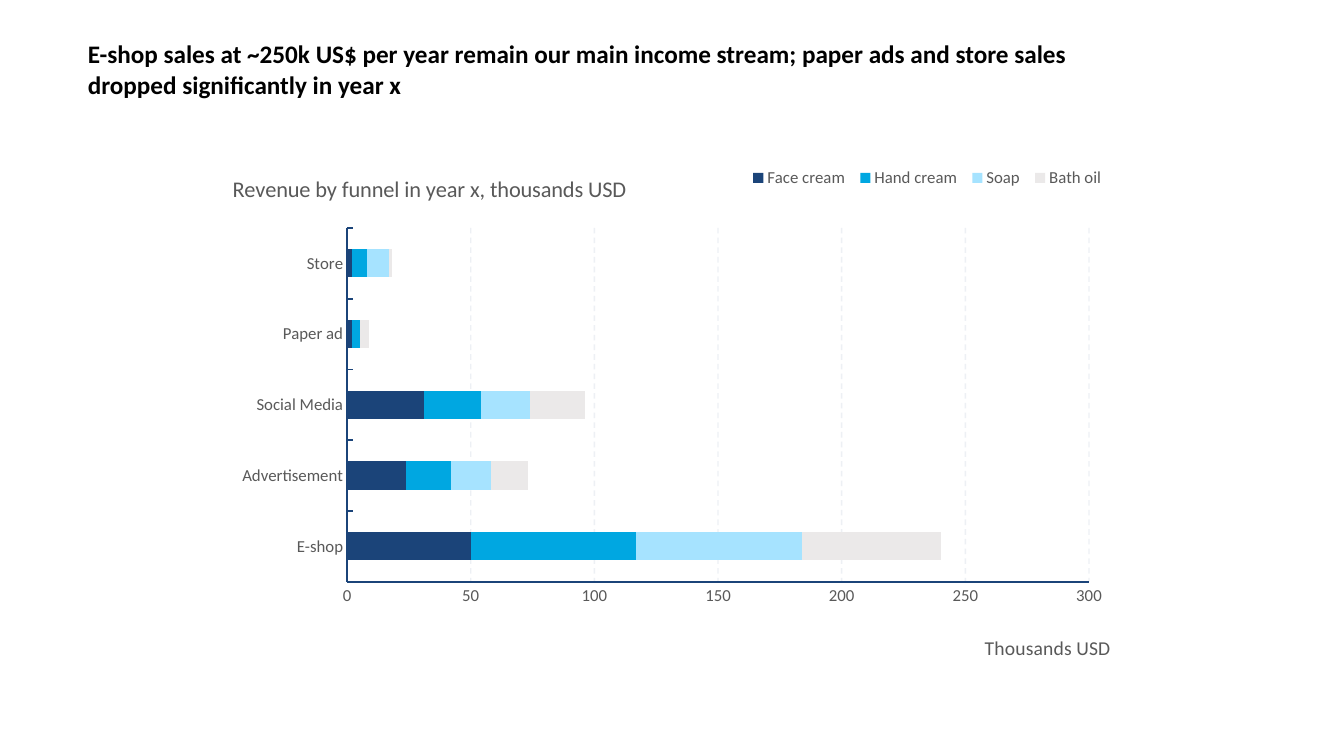
from dataclasses import dataclass

import lxml.etree
import pptx
import pptx.chart.data
import pptx.dml.color
import pptx.enum.chart
import pptx.enum.dml
import pptx.enum.text
import pptx.oxml.ns
import pptx.util

Pt = pptx.util.Pt
qn = pptx.oxml.ns.qn


@dataclass(frozen=True)
class Theme:
    """Colours and type sizes of the slide."""
    font: str = "Calibri"
    heading: str = "000000"
    label: str = "595959"
    axis: str = "1B4479"
    series: tuple = ("1B4479", "00A7E1", "A6E3FF", "EBE9E9")
    heading_size: int = 18
    chart_title_size: int = 16
    axis_title_size: int = 14
    label_size: int = 12


THEME = Theme()
FUNNELS = ("E-shop", "Advertisement", "Social Media", "Paper ad", "Store")
REVENUE = {
    "Face cream": (50, 24, 31, 2, 2),
    "Hand cream": (67, 18, 23, 3, 6),
    "Soap": (67, 16, 20, 0, 9),
    "Bath oil": (56, 15, 22, 4, 1),
}


def style_font(font, size, color, bold=False):
    """Apply the theme typeface with a size, colour and weight."""
    font.name = THEME.font
    font.size = Pt(size)
    font.bold = bold
    font.color.rgb = pptx.dml.color.RGBColor.from_string(color)


def style_line(line, width):
    """Draw a line in the axis colour."""
    line.color.rgb = pptx.dml.color.RGBColor.from_string(THEME.axis)
    line.width = Pt(width)


def place_part(element, left, top, width=None, height=None, inner=False):
    """Fix a chart part at fractions of the chart box."""
    for previous in element.findall(qn("c:layout")):
        element.remove(previous)
    layout = lxml.etree.Element(qn("c:layout"))
    manual = lxml.etree.SubElement(layout, qn("c:manualLayout"))
    settings = [("layoutTarget", "inner" if inner else None),
                ("xMode", "edge"), ("yMode", "edge"),
                ("x", left), ("y", top), ("w", width), ("h", height)]
    for tag, value in settings:
        if value is not None:
            lxml.etree.SubElement(manual, qn(f"c:{tag}")).set("val", str(value))
    overlay = element.find(qn("c:overlay"))
    element.insert(0 if overlay is None else element.index(overlay), layout)


def write_chart_text(title, text, size, left, top):
    """Fill, style and place a chart title or axis title."""
    title.text_frame.text = text
    style_font(title.text_frame.paragraphs[0].font, size, THEME.label)
    place_part(title._element, left, top)


def add_heading(slide, left, top, width, height):
    """Put the slide message into the title placeholder."""
    title = slide.shapes.title
    title.left, title.top, title.width, title.height = map(Pt, (left, top, width, height))
    frame = title.text_frame
    frame.text = ("E-shop sales at ~250k US$ per year remain our main income stream; "
                  "paper ads and store sales dropped significantly in year x")
    frame.word_wrap = True
    frame.auto_size = pptx.enum.text.MSO_AUTO_SIZE.NONE
    frame.vertical_anchor = pptx.enum.text.MSO_ANCHOR.TOP
    paragraph = frame.paragraphs[0]
    paragraph.alignment = pptx.enum.text.PP_ALIGN.LEFT
    style_font(paragraph.font, THEME.heading_size, THEME.heading, bold=True)


def style_axes(chart):
    """Format both axes and the faint dashed gridlines."""
    tick_mark = pptx.enum.chart.XL_TICK_MARK
    for axis, mark in ((chart.category_axis, tick_mark.INSIDE),
                       (chart.value_axis, tick_mark.NONE)):
        axis.major_tick_mark = mark
        axis.minor_tick_mark = tick_mark.NONE
        style_font(axis.tick_labels.font, THEME.label_size, THEME.label)
        style_line(axis.format.line, 1.25)
    chart.category_axis.has_major_gridlines = False

    value_axis = chart.value_axis
    value_axis.minimum_scale, value_axis.maximum_scale = 0, 300
    value_axis.major_unit = 50
    value_axis.has_major_gridlines = True
    grid = value_axis.major_gridlines.format.line
    style_line(grid, 1)
    grid.dash_style = pptx.enum.dml.MSO_LINE.DASH
    grid_element = value_axis._element.find(qn("c:majorGridlines"))
    grid_color = next(grid_element.iter(qn("a:srgbClr")))
    lxml.etree.SubElement(grid_color, qn("a:alpha")).set("val", "8000")
    write_chart_text(value_axis.axis_title, "Thousands USD",
                     THEME.axis_title_size, 0.845, 0.87)


def add_revenue_chart(slide, left, top, width, height):
    """Add the stacked bars of revenue by funnel."""
    data = pptx.chart.data.CategoryChartData()
    data.categories = FUNNELS
    for name, values in REVENUE.items():
        data.add_series(name, values)
    chart = slide.shapes.add_chart(
        pptx.enum.chart.XL_CHART_TYPE.BAR_STACKED,
        *map(Pt, (left, top, width, height)), data).chart
    style_font(chart.font, THEME.label_size, THEME.label)

    plot = chart.plots[0]
    plot.gap_width, plot.overlap = 150, 100
    plot.vary_by_categories = False
    for series, color in zip(plot.series, THEME.series):
        series.format.fill.solid()
        series.format.fill.fore_color.rgb = pptx.dml.color.RGBColor.from_string(color)
    plot_area = next(chart._chartSpace.iter(qn("c:plotArea")))
    place_part(plot_area, 0.1375, 0.125, 0.828, 0.654, inner=True)

    write_chart_text(chart.chart_title, "Revenue by funnel in year x, thousands USD",
                     THEME.chart_title_size, 0.005, 0.018)
    style_axes(chart)
    chart.has_legend = True
    chart.legend.position = pptx.enum.chart.XL_LEGEND_POSITION.BOTTOM
    chart.legend.include_in_layout = False
    style_font(chart.legend.font, THEME.label_size, THEME.label)
    place_part(chart.legend._element, 0.58, 0.01, 0.41, 0.045)


def main():
    """Build and save the revenue slide."""
    presentation = pptx.Presentation()
    presentation.slide_width, presentation.slide_height = Pt(960), Pt(540)
    slide = presentation.slides.add_slide(presentation.slide_layouts.get_by_name("Title Only"))
    add_heading(slide, 55.5, 24, 746.5, 51)
    add_revenue_chart(slide, 160, 114.5, 640, 386.5)
    presentation.save("out.pptx")


if __name__ == "__main__":
    main()
